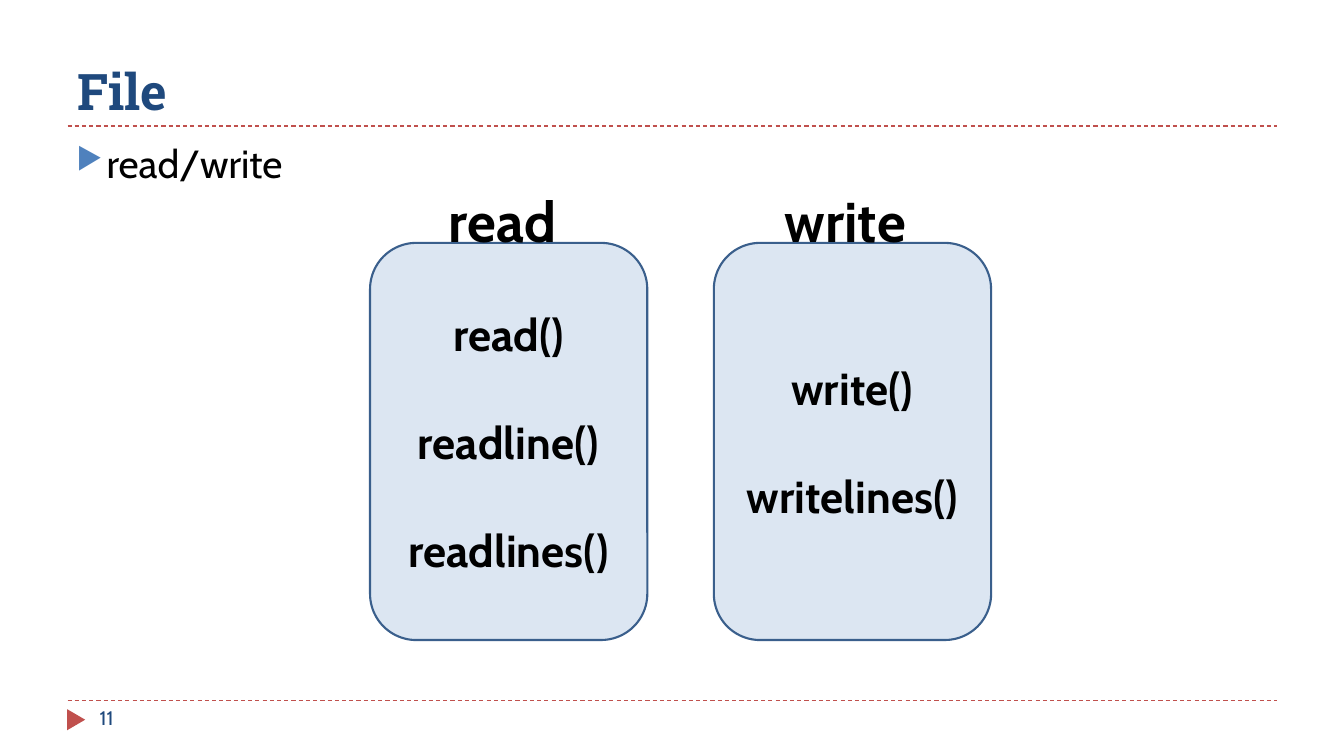
from lxml import etree
from pptx import Presentation
from pptx.dml.color import RGBColor
from pptx.enum.dml import MSO_LINE as Dash
from pptx.enum.shapes import MSO_CONNECTOR as Conn, MSO_SHAPE as Shape
from pptx.enum.text import MSO_ANCHOR as Anchor, PP_ALIGN as Align
from pptx.oxml.ns import qn
from pptx.util import Pt

RED, NAVY, BLUE = "C0504D", "1F497D", "4F81BD"
PALE, EDGE, BLACK = "DCE6F2", "3A5F8C", "000000"
WIDE, HIGH = 1333, 750


def px(*vals):
    """Turn px lengths, 100 to the inch, into EMU."""
    return [val * 9144 for val in vals]


def paint(color, hue):
    """Set a colour from a hex string."""
    color.rgb = RGBColor.from_string(hue)


def write(frame, text, size, hue, bold=False, face="Cabin", align=Align.LEFT):
    """Put text in a frame and format its runs."""
    frame.word_wrap = True
    frame.text = text
    for para in frame.paragraphs:
        para.alignment = align
        for run in para.runs:
            font = run.font
            font.name, font.size, font.bold = face, Pt(size), bold
            paint(font.color, hue)


def label(slide, box, *args, anchor=Anchor.TOP, **style):
    """Add a text box and return its frame."""
    frame = slide.shapes.add_textbox(*px(*box)).text_frame
    write(frame, *args, **style)
    frame.vertical_anchor = anchor
    return frame


def form(slide, kind, box, fill):
    """Add a filled shape without shadow or outline."""
    shape = slide.shapes.add_shape(kind, *px(*box))
    shape.shadow.inherit = False
    shape.fill.solid()
    paint(shape.fill.fore_color, fill)
    shape.line.fill.background()
    return shape


def rule(slide, left, top, width):
    """Draw a dashed red line."""
    line = slide.shapes.add_connector(
        Conn.STRAIGHT, *px(left, top, left + width, top))
    paint(line.line.color, RED)
    line.line.width = Pt(0.75)
    line.line.dash_style = Dash.DASH
    etree.SubElement(line._element.spPr, qn("a:effectLst"))


def header(slide, left, top, width, height):
    """Place the title above its rule."""
    rule(slide, left, top + height, width)
    label(slide, (left, top, width, height), "File", 36, NAVY, bold=True,
          face="Roboto Slab", anchor=Anchor.BOTTOM)


def footer(slide, left, top, width):
    """Place the rule, marker and page number."""
    rule(slide, left, top, width)
    mark = form(slide, Shape.ISOSCELES_TRIANGLE,
                (left - 2, top + 10, 21, 18), RED)
    mark.rotation = 90
    label(slide, (left + 22, top, 289, 40), "11", 14, NAVY)


def body(slide, *box):
    """Place the bulleted topic."""
    para = label(slide, box, "read/write", 28, BLACK).paragraphs[0]
    para.space_before = Pt(6)
    props = para._p.get_or_add_pPr()
    props.set("marL", str(px(30)[0]))
    props.set("indent", str(px(-30)[0]))
    hue = etree.SubElement(props, qn("a:buClr"))
    etree.SubElement(hue, qn("a:srgbClr"), val=BLUE)
    etree.SubElement(props, qn("a:buSzPct"), val="76000")
    etree.SubElement(props, qn("a:buChar"), char="▶")


def panel(slide, left, top, name, shift, calls):
    """Place a rounded list of calls with its heading."""
    width = 275
    card = form(slide, Shape.ROUNDED_RECTANGLE, (left, top, width, 394), PALE)
    paint(card.line.color, EDGE)
    card.line.width = Pt(1.5)
    frame = card.text_frame
    frame.vertical_anchor = Anchor.MIDDLE
    write(frame, "\n".join(calls), 32, BLACK, bold=True, align=Align.CENTER)
    for para in frame.paragraphs[1:]:
        para.space_before = Pt(38.5)
    label(slide, (left + shift, top - 61, width, 77), name, 40, BLACK,
          bold=True, align=Align.CENTER)


def main():
    """Build and save the slide."""
    deck = Presentation()
    deck.slide_width, deck.slide_height = px(WIDE, HIGH)
    slide = deck.slides.add_slide(deck.slide_layouts[6])
    header(slide, 67, 17, 1200, 108)
    footer(slide, 67, 695, 1200)
    body(slide, 66, 133, 1200, 540)
    panel(slide, 367, 241, "read", -6, ["read()", "readline()", "readlines()"])
    panel(slide, 708, 241, "write", -7, ["write()", "writelines()"])
    deck.save("out.pptx")


if __name__ == "__main__":
    main()
